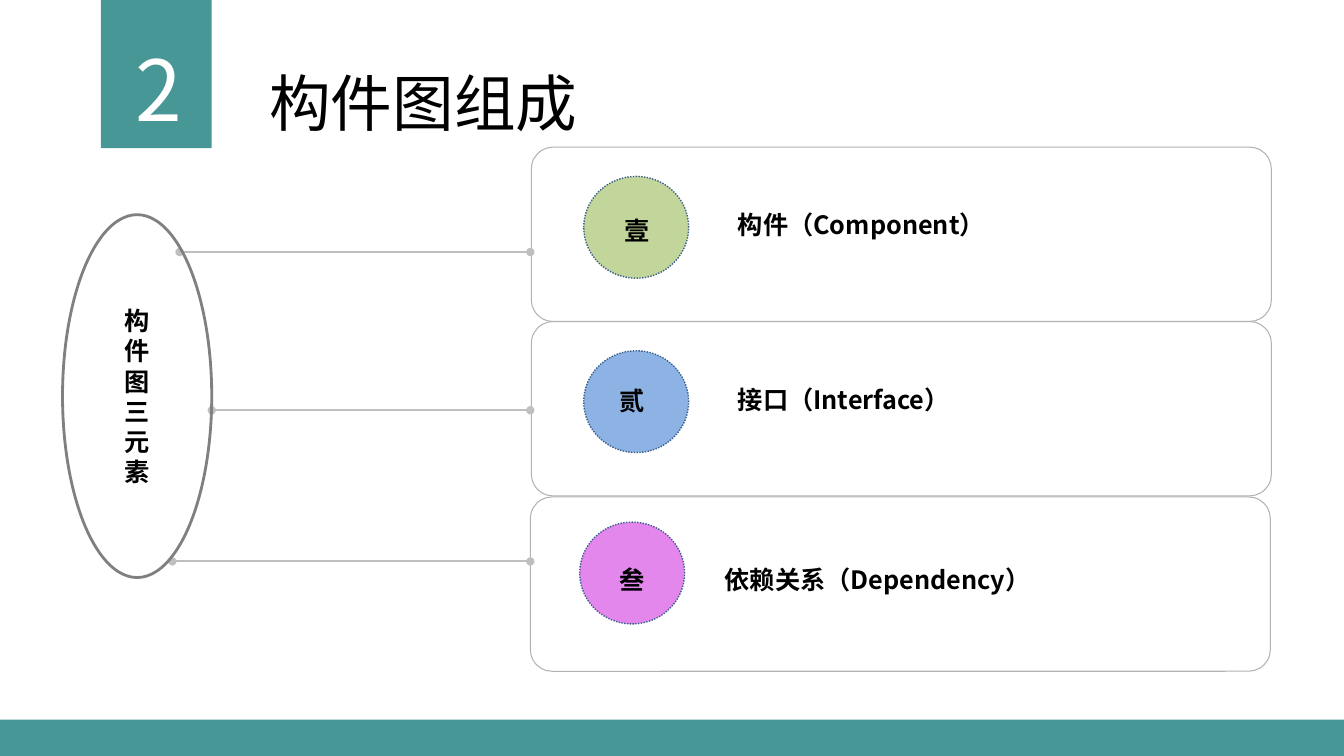
from lxml import etree
from pptx import Presentation
from pptx.dml.color import RGBColor
from pptx.enum.dml import MSO_LINE
from pptx.enum.shapes import MSO_CONNECTOR, MSO_SHAPE
from pptx.enum.text import MSO_ANCHOR, PP_ALIGN
from pptx.oxml.ns import qn
from pptx.util import Inches, Pt

RECT, ROUNDED, OVAL = MSO_SHAPE.RECTANGLE, MSO_SHAPE.ROUNDED_RECTANGLE, MSO_SHAPE.OVAL
STRAIGHT = MSO_CONNECTOR.STRAIGHT
DOTTED = MSO_LINE.ROUND_DOT
LEFT, CENTER, JUSTIFY = PP_ALIGN.LEFT, PP_ALIGN.CENTER, PP_ALIGN.JUSTIFY
TOP, MIDDLE = MSO_ANCHOR.TOP, MSO_ANCHOR.MIDDLE

TEAL, BLACK, WHITE = "479796", "000000", "FFFFFF"
SANS_SC, SANS_KR = "Noto Sans CJK SC", "Noto Sans CJK KR"

# Card place, circle place, circle colour, numeral with place, label with place
ELEMENTS = [
    ((5.27, 1.46), (5.79, 1.75), "C2D59B", "壹", (6.1, 2.09),
     "构件（Component）", (7.22, 2.03)),
    ((5.27, 3.19), (5.79, 3.48), "8CB3E3", "贰", (6.05, 3.77),
     "接口（Interface）", (7.22, 3.76)),
    ((5.26, 4.93), (5.75, 5.18), "E387ED", "叁", (6.05, 5.55),
     "依赖关系（Dependency）", (7.09, 5.55)),
]
# Start and height of each link from the oval to the cards
LINKS = [(1.78, 2.5), (2.1, 4.07), (1.71, 5.57)]


def color(hex_value):
    return RGBColor.from_string(hex_value)


def add_figure(shapes, kind, box, fill=None, line=None, width=1):
    figure = shapes.add_shape(kind, *map(Inches, box))
    figure.shadow.inherit = False
    if fill:
        figure.fill.solid()
        figure.fill.fore_color.rgb = color(fill)
    else:
        figure.fill.background()
    if line:
        figure.line.color.rgb = color(line)
        figure.line.width = Pt(width)
    else:
        figure.line.fill.background()
    return figure


def write(frame, lines, size, font=SANS_SC, ink=BLACK, bold=False,
          align=LEFT, anchor=TOP, wrap=True):
    frame.word_wrap = wrap
    frame.vertical_anchor = anchor
    frame.text = "\n".join(lines)
    for paragraph in frame.paragraphs:
        paragraph.alignment = align
        paragraph.font.size = Pt(size)
        paragraph.font.bold = bold
        paragraph.font.color.rgb = color(ink)
        paragraph.font.name = font
        # East Asian characters take their own typeface
        defaults = paragraph._p.pPr.find(qn("a:defRPr"))
        etree.SubElement(defaults, qn("a:ea")).set("typeface", font)


def add_text(shapes, box, text, size, **style):
    label = shapes.add_textbox(*map(Inches, box))
    write(label.text_frame, [text], size, **style)


def add_link(shapes, start, end, y):
    link = shapes.add_connector(STRAIGHT, Inches(start), Inches(y), Inches(end), Inches(y))
    link.line.color.rgb = color("BFBFBF")
    link.line.width = Pt(1.5)
    outline = link.line._get_or_add_ln()
    for tip in ("a:headEnd", "a:tailEnd"):
        etree.SubElement(outline, qn(tip)).set("type", "oval")
    etree.SubElement(link._element.spPr, qn("a:effectLst"))


def add_element(slide, card_at, circle_at, fill, numeral, numeral_at, label, label_at):
    shapes = slide.shapes.add_group_shape().shapes
    card = add_figure(shapes, ROUNDED, (*card_at, 7.34, 1.73), WHITE, "B2B2B2", 0.75)
    card.adjustments[0] = 0.125
    circle = add_figure(shapes, OVAL, (*circle_at, 1.04, 1.01), fill, "395E8A")
    circle.line.dash_style = DOTTED
    add_text(shapes, (*numeral_at, 0.46, 0.4), numeral, 18, bold=True, wrap=False)
    add_text(shapes, (*label_at, 5.23, 0.4), label, 18, bold=True, align=JUSTIFY)


def main():
    deck = Presentation()
    deck.slide_width, deck.slide_height = Inches(13.33), Inches(7.5)
    slide = deck.slides.add_slide(deck.slide_layouts[5])
    shapes = slide.shapes

    # Chapter number, title and footer band
    add_figure(shapes, RECT, (1, 0, 1.1, 1.47), TEAL)
    add_text(shapes, (1.03, 0.32, 1.1, 1.11), "2", 60, font=SANS_KR, ink=WHITE, align=CENTER)
    title = shapes.title
    title.left, title.top, title.width, title.height = map(Inches, (2.57, 0.59, 6.93, 0.84))
    write(title.text_frame, ["构件图组成"], 44)
    add_figure(shapes, RECT, (0, 7.14, 13.33, 0.36), TEAL)

    # Three element cards
    for element in ELEMENTS:
        add_element(slide, *element)

    # Links and the oval they start from
    for start, y in LINKS:
        add_link(shapes, start, 5.26, y)
    topic = add_figure(shapes, OVAL, (0.62, 2.13, 1.48, 3.6), line="808080", width=2)
    write(topic.text_frame, "构件图三元素", 18, font="Calibri", bold=True,
          align=CENTER, anchor=MIDDLE)

    deck.save("out.pptx")


if __name__ == "__main__":
    main()
